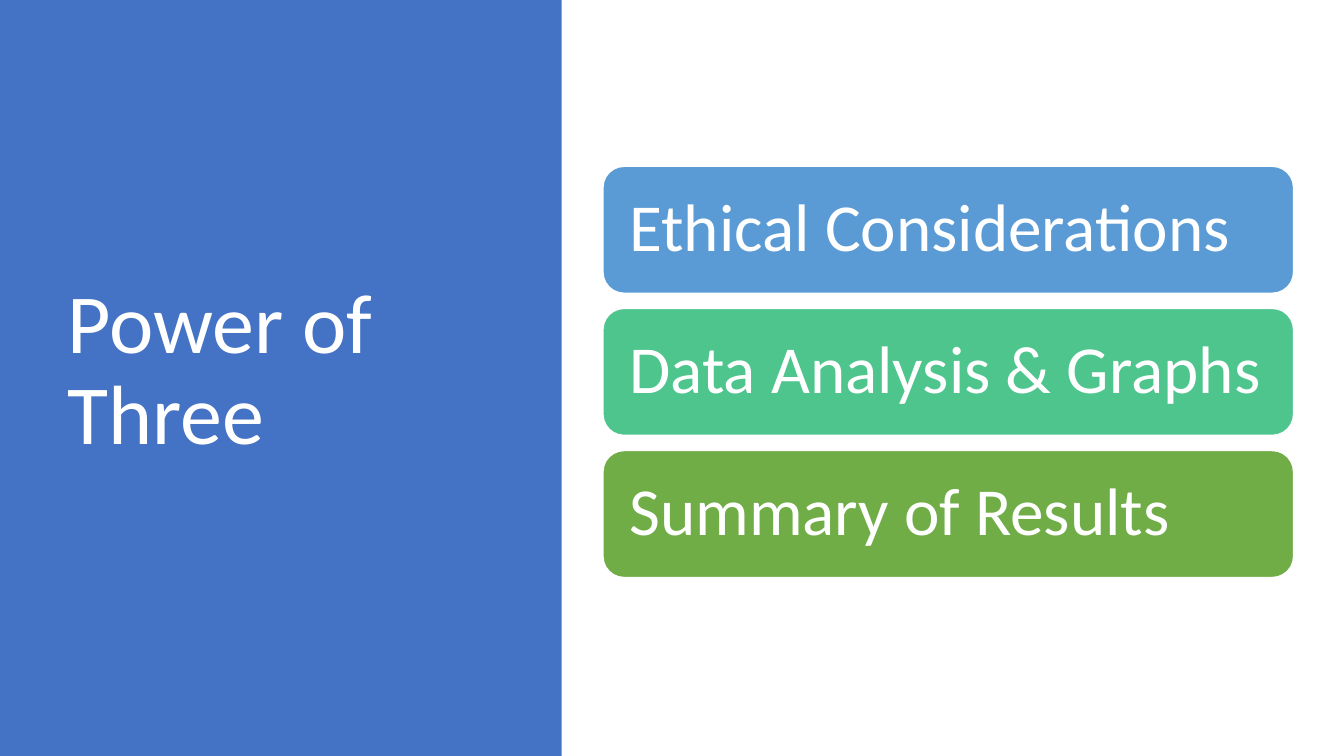
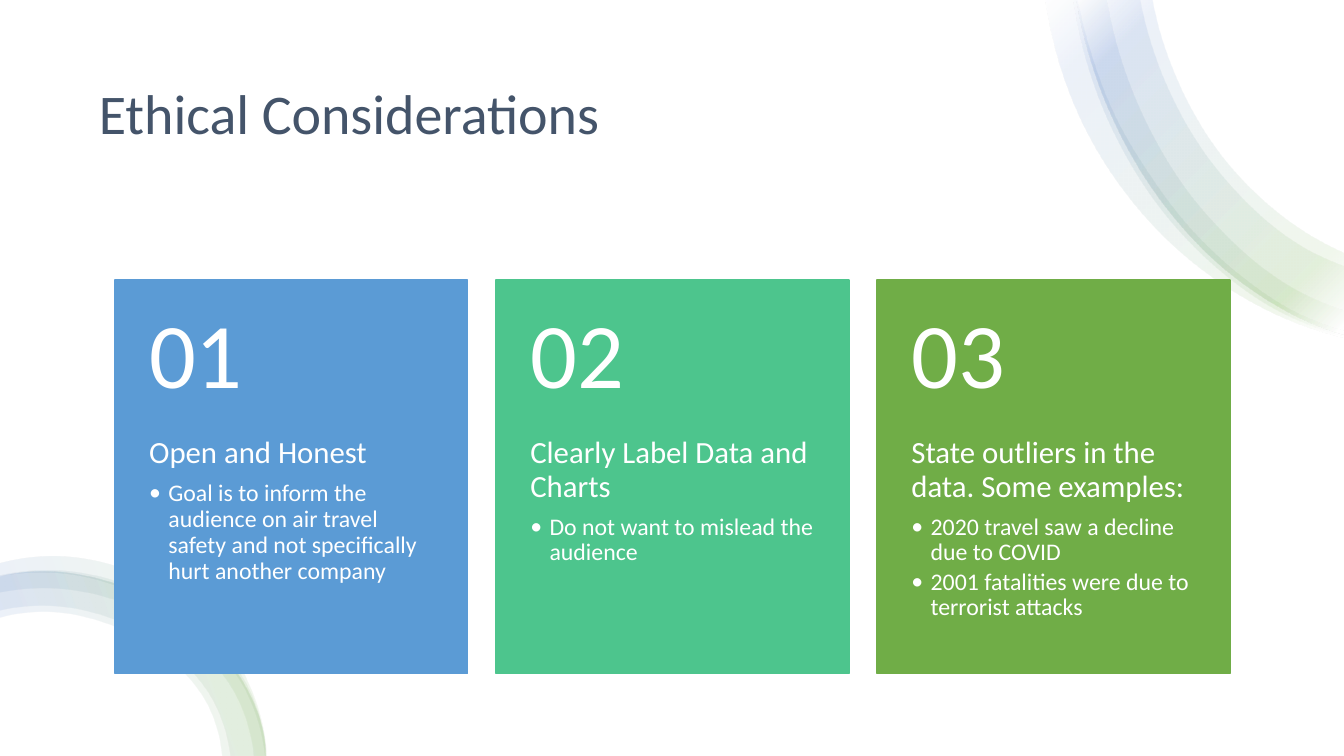
from pptx import Presentation
from pptx.dml.color import RGBColor
from pptx.enum import shapes, text
from pptx.oxml import parse_xml
from pptx.oxml.ns import nsdecls
from pptx.util import Inches, Pt

FONT = "Calibri"
WHITE = RGBColor(0xFF, 0xFF, 0xFF)
SLATE = RGBColor(0x44, 0x54, 0x6A)
ROYAL = RGBColor(0x44, 0x72, 0xC4)
SKY = RGBColor(0x5B, 0x9B, 0xD5)
MINT = RGBColor(0x4D, 0xC5, 0x8D)
GREEN = RGBColor(0x70, 0xAD, 0x47)
ACCENTS = (SKY, MINT, GREEN)

SLIDE_WIDTH, SLIDE_HEIGHT = 13.33, 7.5
RIBBON_STOPS = ((2, WHITE), (16, GREEN), (85, ROYAL), (100, WHITE))
RIBBON_ALPHA = 10

# Ribbons: outer edge, then inner edge, as points in inches
CORNER_OUTER = [(10.68, 0), (10.99, 1.07), (11.52, 2), (12.23, 2.74), (13.09, 3.24), (13.33, 3.32)]
TOP_RIBBONS = [
    ([(10.37, 0), (10.78, 1.31), (11.65, 2.45), (12.82, 3.19), (13.33, 3.35)],
     [(13.33, 3.28), (12.86, 3.1), (12.3, 2.73), (11.81, 2.27), (11.4, 1.73), (11.06, 1.15),
      (10.82, 0.52), (10.69, 0)]),
    (CORNER_OUTER, [(13.33, 2.51), (13.07, 2.38), (12.19, 1.64), (11.58, 0.55), (11.43, 0)]),
    ([(10.65, 0), (10.99, 1.19), (11.73, 2.33), (12.79, 3.14), (13.33, 3.33)],
     [(13.33, 3.08), (12.9, 2.9), (11.95, 2.11), (11.29, 1.04), (10.98, 0)]),
    (CORNER_OUTER, [(13.33, 2.64), (13.01, 2.5), (12.1, 1.72), (11.47, 0.59), (11.31, 0)]),
]
ARCH_OUTER = [(0, 5.72), (0.4, 5.67), (1.17, 5.8), (1.85, 6.16), (2.36, 6.69), (2.62, 7.35), (2.63, 7.5)]
BOTTOM_RIBBONS = [
    (ARCH_OUTER, [(2.2, 7.5), (2.06, 7), (1.66, 6.52), (1.07, 6.19), (0.4, 6.07), (0, 6.13)]),
    (ARCH_OUTER, [(2.28, 7.5), (2.12, 6.97), (1.7, 6.47), (1.09, 6.13), (0.4, 6.01), (0, 6.06)]),
    ([(0, 5.71), (0.69, 5.67), (1.42, 5.87), (2.03, 6.27), (2.47, 6.85), (2.63, 7.5)],
     [(2.51, 7.5), (2.34, 6.91), (1.92, 6.39), (1.34, 6.03), (0.67, 5.85), (0, 5.88)]),
    ([(0, 5.59), (0.51, 5.52), (1.48, 5.75), (2.1, 6.23), (2.5, 6.87), (2.64, 7.5)],
     [(2.62, 7.5), (2.45, 6.89), (2, 6.31), (1.39, 5.91), (0.69, 5.7), (0, 5.72)]),
]

TOPICS = ("Ethical Considerations", "Data Analysis & Graphs", "Summary of Results")
CARDS = (
    ("Open and Honest",
     ["Goal is to inform the audience on air travel safety and not specifically hurt another company"]),
    ("Clearly Label Data and Charts", ["Do not want to mislead the audience"]),
    ("State outliers in the data. Some examples:",
     ["2020 travel saw a decline due to COVID", "2001 fatalities were due to terrorist attacks"]),
)


def style_paragraph(paragraph, size, color=WHITE, space_after=0):
    """Apply the shared text style; space_after is a share of the text size."""
    paragraph.alignment = text.PP_ALIGN.LEFT
    paragraph.line_spacing = 0.9
    paragraph.space_before = Pt(0)
    paragraph.space_after = Pt(size * space_after)
    paragraph.font.name = FONT
    paragraph.font.size = Pt(size)
    paragraph.font.color.rgb = color


def add_bullet(paragraph, indent=0.19):
    properties = paragraph._p.get_or_add_pPr()
    properties.set("marL", str(Inches(indent)))
    properties.set("indent", str(-Inches(indent)))
    properties.append(parse_xml(f'<a:buFont {nsdecls("a")} typeface="{FONT}"/>'))
    properties.append(parse_xml(f'<a:buChar {nsdecls("a")} char="•"/>'))


def set_frame(frame, anchor, insets):
    frame.word_wrap = True
    frame.auto_size = text.MSO_AUTO_SIZE.NONE
    frame.vertical_anchor = anchor
    frame.margin_left, frame.margin_top, frame.margin_right, frame.margin_bottom = map(Inches, insets)


def add_block(slide, kind, box, fill, line=None):
    block = slide.shapes.add_shape(kind, *map(Inches, box))
    block.shadow.inherit = False
    block.fill.solid()
    block.fill.fore_color.rgb = fill
    if line is None:
        block.line.fill.background()
    else:
        block.line.color.rgb = line
        block.line.width = Pt(1)
    return block


def add_titled_slide(presentation, title_text, box, size, color, panel_width, panel_color):
    """Add a slide whose title stands in front of a full-height panel."""
    slide = presentation.slides.add_slide(presentation.slide_layouts[5])
    title = slide.shapes.title
    title.left, title.top, title.width, title.height = map(Inches, box)
    title.text_frame.text = title_text
    set_frame(title.text_frame, text.MSO_ANCHOR.MIDDLE, (0.1, 0.05, 0.1, 0.05))
    style_paragraph(title.text_frame.paragraphs[0], size, color)
    panel = add_block(slide, shapes.MSO_SHAPE.RECTANGLE, (0, 0, panel_width, SLIDE_HEIGHT), panel_color)
    title._element.addprevious(panel._element)
    return slide


def curve_controls(points):
    """Return the Bezier points, three a segment, of a smooth curve after its first point."""
    nodes = [complex(*point) for point in points]
    chords = [abs(b - a) for a, b in zip(nodes, nodes[1:])]
    slopes = [(b - a) / chord for a, b, chord in zip(nodes, nodes[1:], chords)]
    tangents = [(chords[i + 1] * slopes[i] + chords[i] * slopes[i + 1]) / (chords[i] + chords[i + 1])
                for i in range(len(slopes) - 1)]
    tangents = [2 * slopes[0] - tangents[0], *tangents, 2 * slopes[-1] - tangents[-1]]
    controls = []
    for i, chord in enumerate(chords):
        controls += [nodes[i] + tangents[i] * chord / 3,
                     nodes[i + 1] - tangents[i + 1] * chord / 3, nodes[i + 1]]
    return [(node.real, node.imag) for node in controls]


def add_ribbon(slide, outer, inner, angle):
    outer_controls = curve_controls(outer)
    vertices = [outer[0], *outer_controls, inner[0], *curve_controls(inner)]
    start, *rest = [(Inches(x), Inches(y)) for x, y in vertices]
    builder = slide.shapes.build_freeform(*start)
    builder.add_line_segments(rest, close=True)
    ribbon = builder.convert_to_shape()
    ribbon.shadow.inherit = False
    ribbon.line.fill.background()
    properties = ribbon._element.spPr
    # Turn each three line segments of an edge into one curve
    segments = list(properties.iterfind(".//{*}lnTo"))
    joint = len(outer_controls)
    for edge in (segments[:joint], segments[joint + 1:len(rest)]):
        for first, second, third in zip(edge[::3], edge[1::3], edge[2::3]):
            curve = parse_xml(f'<a:cubicBezTo {nsdecls("a")}/>')
            first.addprevious(curve)
            for segment in (first, second, third):
                curve.append(segment[0])
                segment.getparent().remove(segment)
    # Translucent four-stop gradient
    ribbon.fill.background()
    stops = "".join(
        f'<a:gs pos="{position * 1000}"><a:srgbClr val="{color}">'
        f'<a:alpha val="{RIBBON_ALPHA * 1000}"/></a:srgbClr></a:gs>'
        for position, color in RIBBON_STOPS)
    gradient = parse_xml(f'<a:gradFill {nsdecls("a")} rotWithShape="1"><a:gsLst>{stops}</a:gsLst>'
                         f'<a:lin ang="{angle * 60000}" scaled="0"/></a:gradFill>')
    properties.replace(properties.find("{*}noFill"), gradient)


def add_topic_list(slide, left, top, width, height):
    tile_height = 1.26
    pitch = (height - tile_height) / (len(TOPICS) - 1)
    for index, (topic, color) in enumerate(zip(TOPICS, ACCENTS)):
        tile = add_block(slide, shapes.MSO_SHAPE.ROUNDED_RECTANGLE,
                         (left, top + index * pitch, width, tile_height), color, WHITE)
        tile.text_frame.text = topic
        set_frame(tile.text_frame, text.MSO_ANCHOR.MIDDLE, (0.2, 0.2, 0.2, 0.2))
        style_paragraph(tile.text_frame.paragraphs[0], 48)


def add_card(slide, box, number, heading, points, color):
    left, top, width, height = box
    number_height = height * 0.4
    # Card with heading and bullets below the number
    card = add_block(slide, shapes.MSO_SHAPE.RECTANGLE, box, color, color)
    frame = card.text_frame
    set_frame(frame, text.MSO_ANCHOR.TOP, (0.34, number_height, 0.32, 0.36))
    frame.text = heading
    style_paragraph(frame.paragraphs[0], 22, space_after=0.35)
    for point in points:
        paragraph = frame.add_paragraph()
        paragraph.text = point
        add_bullet(paragraph)
        style_paragraph(paragraph, 17, space_after=0.15)
    # Number
    label = slide.shapes.add_textbox(*map(Inches, (left, top, width, number_height)))
    label.text_frame.text = f"{number:02d}"
    set_frame(label.text_frame, text.MSO_ANCHOR.MIDDLE, (0.34, 0.18, 0.34, 0.18))
    style_paragraph(label.text_frame.paragraphs[0], 66)


def add_card_row(slide, left, top, width, height):
    card_width = 3.5
    pitch = (width - card_width) / (len(CARDS) - 1)
    for index, ((heading, points), color) in enumerate(zip(CARDS, ACCENTS)):
        add_card(slide, (left + index * pitch, top, card_width, height),
                 index + 1, heading, points, color)


def build_overview(presentation):
    slide = add_titled_slide(presentation, "Power of Three", (0.57, 0.68, 4.16, 6.02), 60, WHITE,
                             5.57, ROYAL)
    add_topic_list(slide, 5.98, 1.65, 6.85, 4.08)


def build_ethics(presentation):
    slide = add_titled_slide(presentation, TOPICS[0], (0.88, 0.5, 11.57, 1.3), 40, SLATE,
                             SLIDE_WIDTH, WHITE)
    for ribbons, angle in ((TOP_RIBBONS, 225), (BOTTOM_RIBBONS, 160)):
        for outer, inner in ribbons:
            add_ribbon(slide, outer, inner, angle)
    add_card_row(slide, 1.14, 2.78, 11.06, 3.9)


def main():
    presentation = Presentation()
    presentation.slide_width = Inches(SLIDE_WIDTH)
    presentation.slide_height = Inches(SLIDE_HEIGHT)
    build_overview(presentation)
    build_ethics(presentation)
    presentation.save("out.pptx")


if __name__ == "__main__":
    main()
